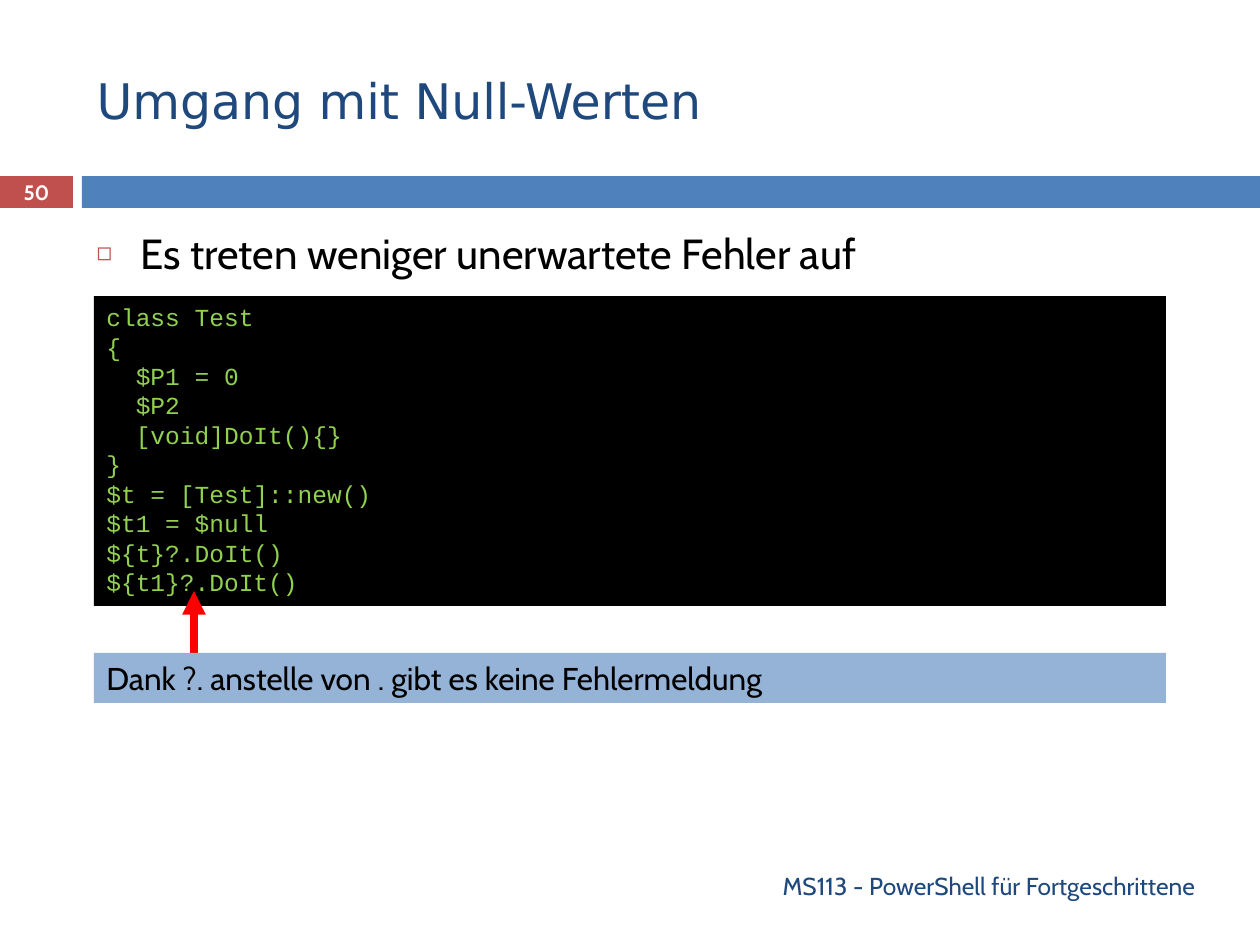
from lxml import etree
from pptx import Presentation
from pptx import util as u
from pptx.dml.color import RGBColor
from pptx.enum import shapes, text
from pptx.oxml import ns

RED = RGBColor(0xC0, 0x50, 0x4D)
BLUE = RGBColor(0x4F, 0x81, 0xBD)
PALE_BLUE = RGBColor(0x95, 0xB3, 0xD7)
NAVY = RGBColor(0x1F, 0x49, 0x7D)
BLACK = RGBColor(0, 0, 0)
WHITE = RGBColor(0xFF, 0xFF, 0xFF)
GREEN = RGBColor(0x92, 0xD0, 0x50)
ARROW_RED = RGBColor(0xFF, 0, 0)

CODE = [
    ["class Test", "{", "  $P1 = 0", "  $P2", "  [void]DoIt(){}", "}"],
    ["$t = [Test]::new()", "$t1 = $null", "${t}?.DoIt()"],
    ["${t1}?.DoIt()"],
]


def px(length):
    return u.Emu(round(length * u.Inches(1) / 126))


class Slide:
    font = "Cabin"
    title_font = "DejaVu Sans"
    code_font = "Courier New"

    def __init__(self, deck):
        self.page = deck.slides.add_slide(deck.slide_layouts[1])

    def place(self, box, left, top, width, height):
        box.left, box.top = px(left), px(top)
        box.width, box.height = px(width), px(height)

    def fill_text(self, box, blocks, size, color, font=None, bold=False,
                  align=text.PP_ALIGN.LEFT, anchor=text.MSO_ANCHOR.TOP):
        frame = box.text_frame
        frame.word_wrap = True
        frame.auto_size = text.MSO_AUTO_SIZE.NONE
        frame.vertical_anchor = anchor
        for index, lines in enumerate(blocks):
            para = frame.add_paragraph() if index else frame.paragraphs[0]
            para.alignment = align
            para.space_before = u.Pt(0)
            for number, line in enumerate(lines):
                if number:
                    para.add_line_break()
                span = para.add_run()
                span.text = line
                span.font.name = font or self.font
                span.font.size = u.Pt(size)
                span.font.bold = bold
                span.font.color.rgb = color

    def title(self, place, wording):
        box = self.page.shapes.title
        self.place(box, *place)
        self.fill_text(box, [[wording]], 28, NAVY, self.title_font,
                       anchor=text.MSO_ANCHOR.MIDDLE)

    def bullets(self, place, items):
        box = self.page.placeholders[1]
        self.place(box, *place)
        self.fill_text(box, [[item] for item in items], 24, BLACK)
        for para in box.text_frame.paragraphs:
            props = para._p.get_or_add_pPr()
            props.set("marL", str(px(44)))
            props.set("indent", str(-px(44)))
            color = etree.SubElement(props, ns.qn("a:buClr"))
            etree.SubElement(color, ns.qn("a:srgbClr"), val=str(RED))
            etree.SubElement(props, ns.qn("a:buSzPct"), val="60000")
            etree.SubElement(props, ns.qn("a:buChar"), char="◻")

    def panel(self, place, fill):
        box = self.page.shapes.add_shape(
            shapes.MSO_SHAPE.RECTANGLE, *map(px, place))
        box.shadow.inherit = False
        box.fill.solid()
        box.fill.fore_color.rgb = fill
        box.line.fill.background()
        return box

    def label(self, place, wording, size, color, **style):
        box = self.page.shapes.add_textbox(*map(px, place))
        self.fill_text(box, [[wording]], size, color,
                       anchor=text.MSO_ANCHOR.MIDDLE, **style)

    def arrow(self, start, end):
        connector = self.page.shapes.add_connector(
            shapes.MSO_CONNECTOR.STRAIGHT, *map(px, start + end))
        connector.line.color.rgb = ARROW_RED
        connector.line.width = u.Pt(4.5)
        outline = connector._element.spPr.find(ns.qn("a:ln"))
        etree.SubElement(outline, ns.qn("a:tailEnd"), type="triangle")
        etree.SubElement(connector._element.spPr, ns.qn("a:effectLst"))


def main():
    deck = Presentation()
    deck.slide_width, deck.slide_height = u.Inches(10), u.Inches(7.5)
    slide = Slide(deck)

    slide.panel((0, 176, 73, 32), RED)
    slide.panel((82, 176, 1178, 32), BLUE)
    slide.title((84, 32, 1124, 136), "Umgang mit Null-Werten")
    slide.label((84, 861, 1124, 50), "MS113 - PowerShell für Fortgeschrittene",
                14, NAVY, align=text.PP_ALIGN.RIGHT)
    slide.bullets((84, 221, 1124, 203),
                  ["Es treten weniger unerwartete Fehler auf"])

    code = slide.panel((94, 296, 1072, 310), BLACK)
    slide.fill_text(code, CODE, 14, GREEN, slide.code_font)
    slide.arrow((194, 658), (194, 591))
    note = slide.panel((94, 653, 1072, 50), PALE_BLUE)
    slide.fill_text(
        note, [["Dank ?. anstelle von . gibt es keine Fehlermeldung"]],
        18, BLACK)
    slide.label((0, 175, 73, 34), "50", 11.9, WHITE, bold=True,
                align=text.PP_ALIGN.CENTER)

    deck.save("out.pptx")


if __name__ == "__main__":
    main()
